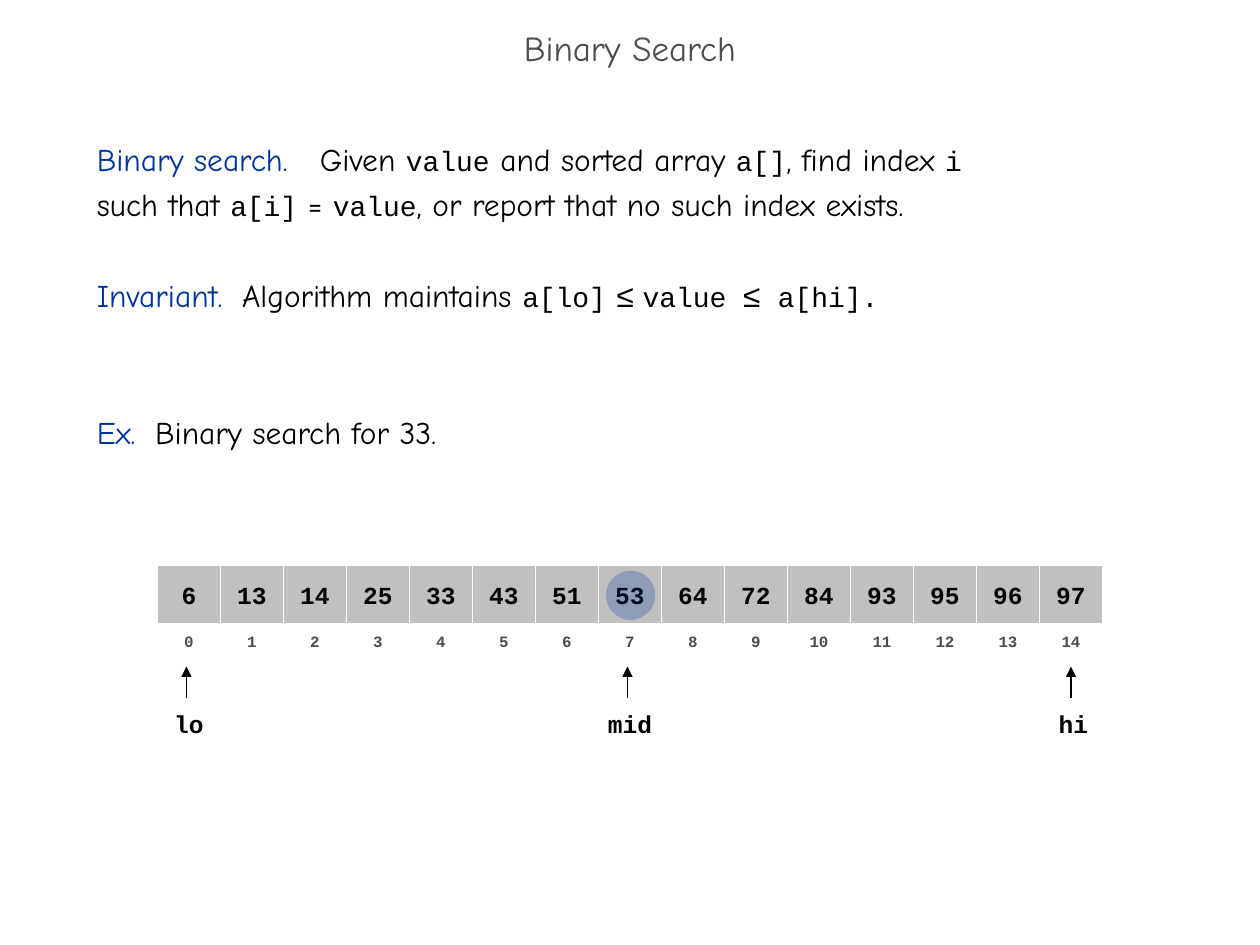
"""Binary search slide: definition, invariant and the first probe for 33."""
from lxml import etree
from pptx import Presentation, util as u
from pptx.dml import color
from pptx.enum import shapes, text
from pptx.oxml import ns

GRID = u.Inches(0.5)
COLORS = {"term": "003399", "ink": "000000", "muted": "4D4D4D",
          "cell": "C0C0C0", "edge": "FFFFFF"}
PROSE = {"name": "Comic Neue", "size": u.Pt(18)}
CODE = {"name": "Courier New", "size": u.Pt(16)}
SYMBOL = {"name": "Arial", "size": u.Pt(18)}
TITLE = {"name": "Comic Neue", "size": u.Pt(20)}
VALUE = {"name": "Courier New", "size": u.Pt(14), "bold": True}
INDEX = {"name": "Courier New", "size": u.Pt(9), "bold": True}
VALUES = [6, 13, 14, 25, 33, 43, 51, 53, 64, 72, 84, 93, 95, 96, 97]
MID = len(VALUES) // 2

STATEMENTS = [
    (0, "Binary search.", 12.4,
     [[("Given ", PROSE), ("value", CODE), (" and sorted array ", PROSE),
       ("a[]", CODE), (", find index ", PROSE), ("i", CODE)],
      [("such that ", PROSE), ("a[i]", CODE), (" = ", PROSE), ("value", CODE),
       (", or report that no such index exists.", PROSE)]]),
    (26, "Invariant.", 5.2,
     [[("Algorithm maintains ", PROSE), ("a[lo]", CODE), (" ", PROSE),
       ("≤ ", SYMBOL), ("value ", CODE), ("≤", SYMBOL), (" ", SYMBOL, 5),
       ("a[hi].", CODE)]]),
    (52, "Ex.", 5.2, [[("Binary search for 33.", PROSE)]]),
]


def rgb(role):
    """Return the colour of a role."""
    return color.RGBColor.from_string(COLORS[role])


def on_grid(*cells):
    """Turn grid columns and rows into lengths."""
    return [round(cell * GRID) for cell in cells]


def add_run(paragraph, words, font, tracking=0, role="ink"):
    """Add words in one font, with optional tracking in points."""
    run = paragraph.add_run()
    run.text = words
    for attribute, value in font.items():
        setattr(run.font, attribute, value)
    run.font.color.rgb = rgb(role)
    if tracking:
        run.font._element.set("spc", str(round(tracking * 100)))


def set_line(holder, words, font, role, anchor=text.MSO_ANCHOR.MIDDLE, wrap=False):
    """Write one centred line in a shape and return its paragraph."""
    frame = holder.text_frame
    frame.word_wrap, frame.vertical_anchor = wrap, anchor
    line = frame.paragraphs[0]
    line.alignment = text.PP_ALIGN.CENTER
    add_run(line, words, font, role=role)
    return line


def add_title(slide, box):
    """Place the title across the top."""
    heading = slide.shapes.add_textbox(*on_grid(*box))
    set_line(heading, "Binary Search", TITLE, "muted", wrap=True).line_spacing = 0.7


def add_statements(slide, box):
    """Place the definition, the invariant and the example."""
    frame = slide.shapes.add_textbox(*on_grid(*box)).text_frame
    frame.word_wrap = True
    for number, (gap, term, term_gap, lines) in enumerate(STATEMENTS):
        statement = frame.add_paragraph() if number else frame.paragraphs[0]
        statement.line_spacing, statement.space_before = u.Pt(26), u.Pt(gap)
        add_run(statement, term, PROSE, role="term")
        add_run(statement, " ", PROSE, term_gap)
        for position, line in enumerate(lines):
            if position:
                statement.add_line_break()
            for part in line:
                add_run(statement, *part)


def add_cells(slide, box, words, font, role, filled):
    """Divide a box into one equal cell for each word."""
    left, top, width, height = box
    step = width / len(words)
    for column, word in enumerate(words):
        cell = slide.shapes.add_shape(
            shapes.MSO_SHAPE.RECTANGLE,
            *on_grid(left + column * step, top, step, height))
        cell.shadow.inherit = False
        if filled:
            cell.fill.solid()
            cell.fill.fore_color.rgb = rgb("cell")
        else:
            cell.fill.background()
        cell.line.color.rgb, cell.line.width = rgb("edge"), u.Pt(0.75)
        set_line(cell, str(word), font, role)


def add_pointer(slide, box, word, arrow_at):
    """Place a label in a box with an upward arrow above it."""
    label = slide.shapes.add_textbox(*on_grid(*box))
    set_line(label, word, VALUE, "ink", text.MSO_ANCHOR.TOP)
    foot, tip = box[1] - 0.08, box[1] - 0.58
    arrow = slide.shapes.add_connector(
        shapes.MSO_CONNECTOR.STRAIGHT, *on_grid(arrow_at, foot, arrow_at, tip))
    arrow.line.color.rgb, arrow.line.width = rgb("ink"), u.Pt(0.75)
    etree.SubElement(arrow.line._get_or_add_ln(), ns.qn("a:tailEnd"), type="triangle")
    etree.SubElement(arrow._element.spPr, ns.qn("a:effectLst"))


def add_probe(slide, box):
    """Mark the probed value with a translucent disc."""
    disc = slide.shapes.add_shape(shapes.MSO_SHAPE.OVAL, *on_grid(*box))
    disc.shadow.inherit = False
    disc.fill.solid()
    disc.fill.fore_color.rgb = rgb("term")
    disc.line.fill.background()
    shade = disc._element.spPr.find(ns.qn("a:solidFill"))[0]
    etree.SubElement(shade, ns.qn("a:alpha"), val="25000")


def add_array(slide, box):
    """Place the values, their indices, the pointers and the probe."""
    left, top, width, _ = box
    add_cells(slide, (left, top + 0.98, width, 0.42), range(len(VALUES)),
              INDEX, "muted", False)
    add_cells(slide, (left, top, width, 0.92), VALUES, VALUE, "ink", True)
    last = len(VALUES) - 1
    for word, index, label_width, label_shift, arrow_shift in (
            ("lo", 0, 0.88, 0, -0.04), ("hi", last, 0.88, 0.04, 0),
            ("mid", MID, 1.1, 0, -0.04)):
        center = left + (index + 0.5) * width / len(VALUES)
        label_left = center + label_shift - label_width / 2
        add_pointer(slide, (label_left, top + 2.18, label_width, 0.66),
                    word, center + arrow_shift)
    add_probe(slide, (left + MID + 0.12, top + 0.08, 0.78, 0.78))


def main():
    """Build and save the slide."""
    deck = Presentation()
    deck.slide_width, deck.slide_height = on_grid(20, 15)
    slide = deck.slides.add_slide(deck.slide_layouts[6])
    add_title(slide, (0, 0.34, 20, 1))
    add_statements(slide, (1.34, 2, 17.16, 11.84))
    add_array(slide, (2.5, 8.98, 15, 2.84))
    deck.save("out.pptx")


if __name__ == "__main__":
    main()
